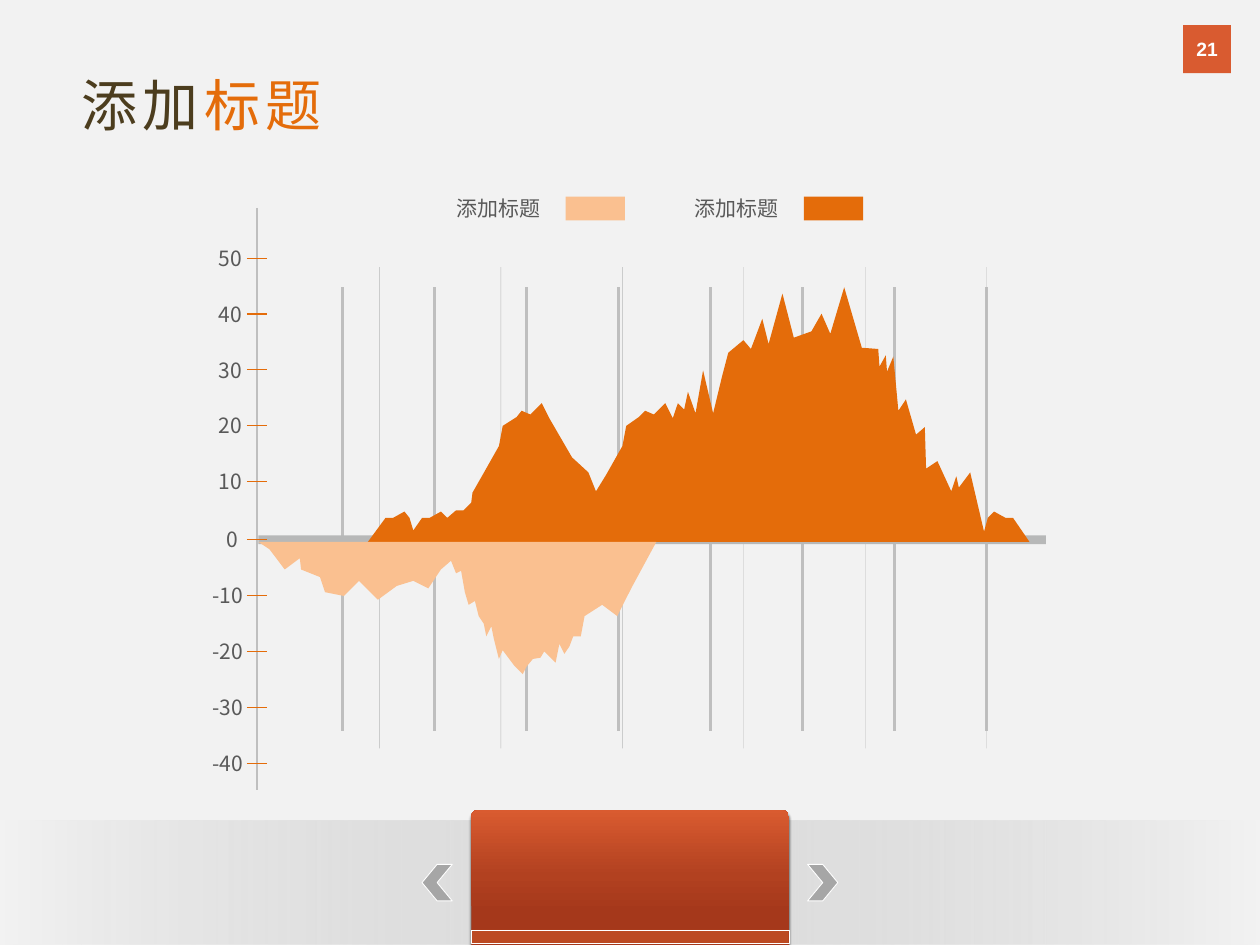
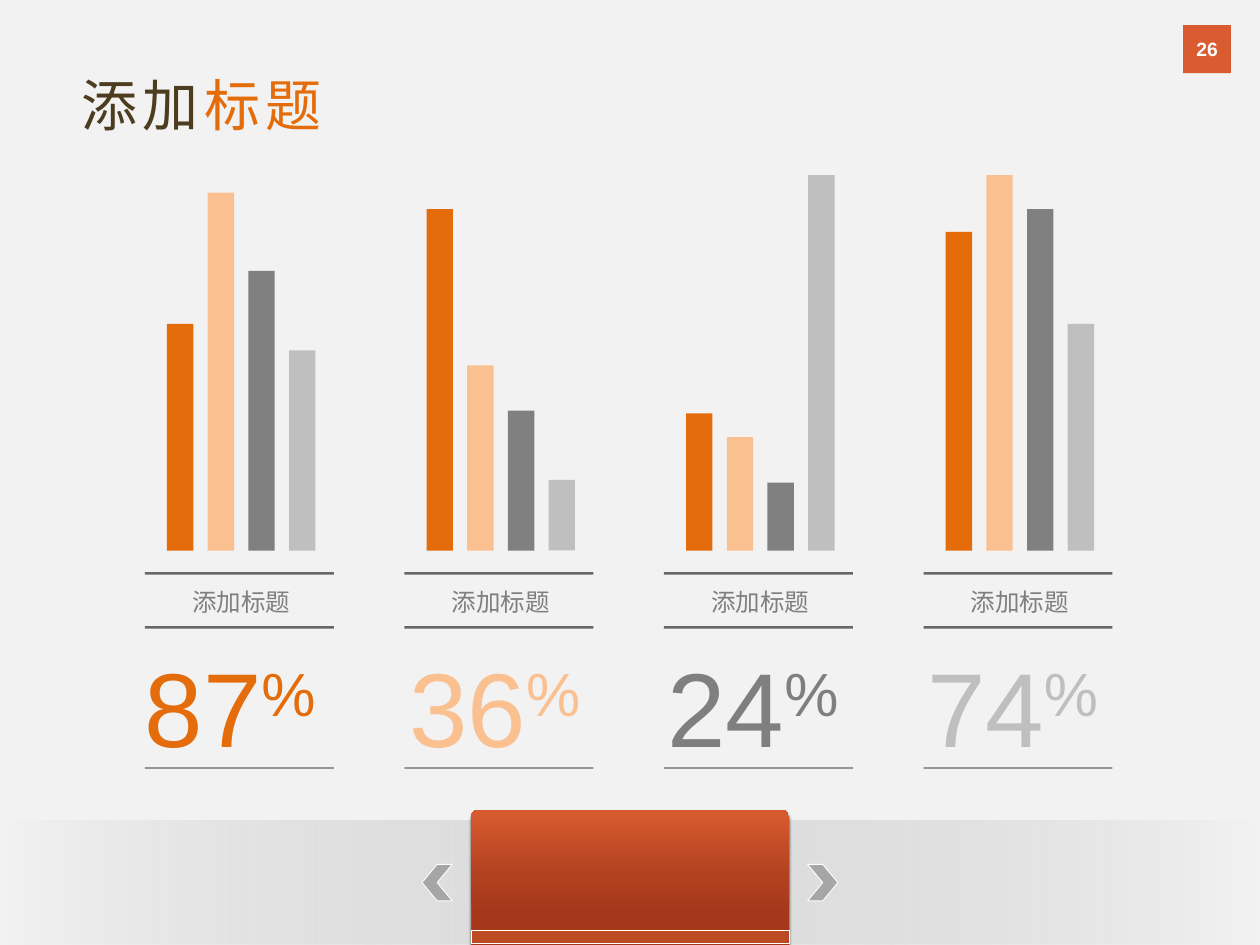
from dataclasses import dataclass

from lxml import etree
from pptx import Presentation
from pptx.dml.color import RGBColor
from pptx.enum.shapes import MSO_CONNECTOR, MSO_SHAPE
from pptx.enum.text import MSO_ANCHOR, MSO_AUTO_SIZE, PP_ALIGN
from pptx.oxml import parse_xml
from pptx.oxml.ns import nsdecls, qn
from pptx.util import Inches, Pt


@dataclass(frozen=True)
class Theme:
    # Colours
    background: str = "F2F2F2"
    brown: str = "4C3D1E"
    orange: str = "E46C0A"
    peach: str = "FAC090"
    gray: str = "808080"
    caption: str = "7F7F7F"
    silver: str = "BFBFBF"
    baseline: str = "B7B8B8"
    rule: str = "686768"
    axis_text: str = "595959"
    arrow: str = "A6A6A6"
    white: str = "FFFFFF"
    badge: str = "D95B30"
    tab_edge: str = "BC4A22"
    tab_dark: str = "A5381B"
    tab_middle: str = "B24120"
    # Fonts and type sizes
    cjk: str = "Noto Sans CJK SC"
    latin: str = "Arial"
    title_size: int = 32
    axis_size: int = 12
    caption_size: int = 14
    number_size: int = 60
    badge_size: int = 11


THEME = Theme()
LABEL = "添加标题"


@dataclass(frozen=True)
class Box:
    left: float
    top: float
    width: float
    height: float

    def emu(self) -> list:
        return [Inches(v) for v in (self.left, self.top, self.width, self.height)]


@dataclass(frozen=True)
class Style:
    size: int
    color: str
    font: str = THEME.cjk
    bold: bool = False
    spacing: int = 0
    baseline: int = 0


@dataclass(frozen=True)
class Stop:
    position: int
    color: str
    alpha: int = 100


@dataclass(frozen=True)
class Panel:
    percent: str
    color: str
    number_left: float
    number_width: float
    bar_heights: tuple


PANELS = (
    Panel("87", THEME.orange, 1.05, 1.93, (1.8, 2.84, 2.22, 1.59)),
    Panel("36", THEME.peach, 3.15, 1.85, (2.71, 1.47, 1.11, 0.56)),
    Panel("24", THEME.caption, 5.2, 1.69, (1.09, 0.9, 0.54, 2.98)),
    Panel("74", THEME.silver, 7.26, 1.69, (2.53, 2.98, 2.71, 1.8)),
)
BAR_COLORS = (THEME.orange, THEME.peach, THEME.gray, THEME.silver)

# Area outlines, in hundredths of an inch
UPPER_AREA = (
    (804, 411), (798, 411), (789, 406), (784, 411), (781, 422), (770, 375),
    (761, 387), (759, 378), (755, 390), (744, 366), (735, 372), (734, 339),
    (727, 345), (719, 317), (713, 326), (709, 283), (704, 295), (703, 282),
    (698, 291), (697, 277), (684, 276), (670, 228), (659, 265), (652, 249),
    (644, 263), (630, 268), (621, 233), (610, 273), (605, 253), (596, 277),
    (590, 270), (578, 280), (573, 299), (566, 328), (558, 294), (552, 328),
    (546, 311), (543, 325), (538, 320), (534, 332), (528, 320), (519, 329),
    (512, 326), (507, 331), (497, 338), (494, 354), (481, 377), (473, 390),
    (467, 375), (454, 363), (436, 332), (430, 320), (421, 329), (414, 326),
    (410, 331), (399, 338), (396, 354), (383, 377), (375, 391), (374, 399),
    (368, 405), (362, 405), (355, 411), (350, 406), (341, 411), (335, 411),
    (328, 421), (325, 411), (321, 406), (312, 411), (306, 411), (292, 430),
    (817, 430),
)
LOWER_AREA = (
    (205, 430), (214, 436), (226, 452), (238, 443), (239, 452), (254, 458),
    (258, 470), (273, 473), (285, 461), (300, 476), (315, 465), (328, 461),
    (340, 467), (350, 452), (358, 445), (362, 455), (366, 453), (369, 470),
    (372, 480), (377, 477), (380, 489), (384, 495), (386, 505), (390, 497),
    (392, 507), (396, 523), (399, 516), (408, 528), (415, 535), (418, 529),
    (423, 523), (429, 522), (432, 517), (441, 526), (444, 511), (448, 519),
    (452, 513), (455, 505), (461, 505), (464, 489), (478, 480), (490, 489),
    (501, 467), (521, 430),
)


# Drawing helpers
def rgb(color: str) -> RGBColor:
    return RGBColor.from_string(color)


def paint(shape, fill: str, line: str = "", line_width: float = 0) -> None:
    shape.shadow.inherit = False
    shape.fill.solid()
    shape.fill.fore_color.rgb = rgb(fill)
    if line:
        shape.line.color.rgb = rgb(line)
        shape.line.width = Pt(line_width)
    else:
        shape.line.fill.background()


def add_block(slide, box: Box, fill: str, kind=MSO_SHAPE.RECTANGLE,
              line: str = "", line_width: float = 0):
    block = slide.shapes.add_shape(kind, *box.emu())
    paint(block, fill, line, line_width)
    return block


def add_gradient(shape, stops: tuple, angle: int) -> None:
    entries = "".join(
        f'<a:gs pos="{s.position * 1000}"><a:srgbClr val="{s.color}">'
        f'<a:alpha val="{s.alpha * 1000}"/></a:srgbClr></a:gs>' for s in stops)
    gradient = parse_xml(
        f'<a:gradFill {nsdecls("a")} rotWithShape="1"><a:gsLst>{entries}</a:gsLst>'
        f'<a:lin ang="{angle * 60000}" scaled="0"/></a:gradFill>')
    properties = shape._element.spPr
    properties.replace(properties.find(qn("a:solidFill")), gradient)


def add_run(paragraph, text: str, style: Style) -> None:
    run = paragraph.add_run()
    run.text = text
    run.font.size = Pt(style.size)
    run.font.bold = style.bold
    run.font.color.rgb = rgb(style.color)
    run.font.name = style.font
    properties = run._r.get_or_add_rPr()
    etree.SubElement(properties, qn("a:ea")).set("typeface", style.font)
    if style.spacing:
        properties.set("spc", str(style.spacing * 100))
    if style.baseline:
        properties.set("baseline", str(style.baseline * 1000))


def add_text(slide, box: Box, runs: tuple, align=PP_ALIGN.CENTER) -> None:
    frame = slide.shapes.add_textbox(*box.emu()).text_frame
    frame.word_wrap = True
    frame.auto_size = MSO_AUTO_SIZE.SHAPE_TO_FIT_TEXT
    paragraph = frame.paragraphs[0]
    paragraph.alignment = align
    for text, style in runs:
        add_run(paragraph, text, style)


def add_line(slide, start: tuple, end: tuple, color: str, width: float) -> None:
    line = slide.shapes.add_connector(
        MSO_CONNECTOR.STRAIGHT, *[Inches(v) for v in start + end])
    line.line.color.rgb = rgb(color)
    line.line.width = Pt(width)
    etree.SubElement(line._element.spPr, qn("a:effectLst"))


def add_area(slide, outline: tuple, fill: str) -> None:
    builder = slide.shapes.build_freeform(*outline[0], scale=Inches(0.01))
    builder.add_line_segments(outline[1:], close=True)
    paint(builder.convert_to_shape(), fill)


# Shared slide parts
def add_footer(slide, page: int) -> None:
    band = add_block(slide, Box(0, 6.51, 10, 0.99), THEME.silver)
    add_gradient(band, (Stop(0, THEME.background), Stop(50, THEME.silver, 35),
                        Stop(100, THEME.background)), 180)
    for left, flipped in ((6.41, False), (3.35, True)):
        arrow = add_block(slide, Box(left, 6.86, 0.24, 0.29), THEME.arrow,
                          MSO_SHAPE.CHEVRON, THEME.white, 0.5)
        if flipped:
            arrow._element.spPr.get_or_add_xfrm().set("flipH", "1")

    tab = add_block(slide, Box(3.74, 6.43, 2.52, 1.26), THEME.badge,
                    MSO_SHAPE.ROUNDED_RECTANGLE)
    tab.adjustments[0] = 0.04
    add_gradient(tab, (Stop(36, THEME.tab_dark), Stop(59, THEME.tab_middle),
                       Stop(100, THEME.badge)), 270)
    tab._element.spPr.find(qn("a:effectLst")).append(parse_xml(
        f'<a:outerShdw {nsdecls("a")} blurRad="{Pt(1.5)}" dist="{Pt(2)}" '
        'dir="5400000" algn="t" rotWithShape="0"><a:srgbClr val="000000">'
        '<a:alpha val="60000"/></a:srgbClr></a:outerShdw>'))

    badge = add_block(slide, Box(9.39, 0.2, 0.38, 0.38), THEME.badge)
    badge.text_frame.vertical_anchor = MSO_ANCHOR.MIDDLE
    paragraph = badge.text_frame.paragraphs[0]
    paragraph.alignment = PP_ALIGN.CENTER
    add_run(paragraph, str(page),
            Style(THEME.badge_size, THEME.white, THEME.latin, bold=True))
    add_block(slide, Box(3.74, 7.38, 2.52, 0.11), THEME.tab_edge,
              line=THEME.white, line_width=0.25)


def add_title(slide) -> None:
    runs = tuple((text, Style(THEME.title_size, color, spacing=3))
                 for text, color in (("添加", THEME.brown), ("标题", THEME.orange)))
    add_text(slide, Box(0.55, 0.51, 2.27, 0.64), runs, PP_ALIGN.LEFT)


def new_slide(deck):
    slide = deck.slides.add_slide(deck.slide_layouts[6])
    slide.background.fill.solid()
    slide.background.fill.fore_color.rgb = rgb(THEME.background)
    return slide


# Area diagram with a two-way axis
def build_area_slide(deck) -> None:
    slide = new_slide(deck)
    axis_style = Style(THEME.axis_size, THEME.axis_text)

    for column in range(8):
        x = 2.72 + 0.73 * column
        add_line(slide, (x, 2.28), (x, 5.8), THEME.silver, 1.5)
    add_block(slide, Box(2.05, 4.25, 6.25, 0.07), THEME.baseline)
    for column in range(6):
        hairline = add_block(slide, Box(3.01 + 0.964 * column, 2.12, 0.01, 3.82),
                             THEME.baseline)
        hairline.width = Inches(0.01) // 3
    add_line(slide, (2.04, 1.65), (2.04, 6.27), THEME.silver, 1.5)

    # Axis values and ticks, above zero and from zero down
    label_widths = {1: 0.26, 2: 0.42, 3: 0.66}
    for first_value, top, bottom in ((50, 2.05, 3.82), (0, 4.28, 6.06)):
        for step in range(5):
            value = str(first_value - 10 * step)
            y = top + (bottom - top) * step / 4
            width = label_widths[len(value)]
            center = 1.81 if len(value) == 3 else 1.83
            add_text(slide, Box(center - width / 2, y - 0.15, width, 0.3),
                     ((value, axis_style),))
            add_line(slide, (1.96, y), (2.12, y), THEME.orange, 0.75)

    # Legend
    for left, color in ((3.41, THEME.peach), (5.3, THEME.orange)):
        add_text(slide, Box(left, 1.5, 1.09, 0.3), ((LABEL, axis_style),))
        add_block(slide, Box(left + 1.08, 1.56, 0.47, 0.19), color)

    add_footer(slide, 21)
    add_area(slide, UPPER_AREA, THEME.orange)
    add_area(slide, LOWER_AREA, THEME.peach)
    add_title(slide)


# Four bar panels with percentages
def add_panel(slide, panel: Panel, left: float) -> None:
    for index, (height, color) in enumerate(zip(panel.bar_heights, BAR_COLORS)):
        add_block(slide, Box(left + 0.175 + 0.323 * index, 4.37 - height, 0.21, height),
                  color)
    for top, thickness in ((4.54, 0.02), (4.97, 0.02), (6.09, 0.01)):
        add_block(slide, Box(left, top, 1.5, thickness), THEME.rule)
    add_text(slide, Box(left + 0.22, 4.61, 1.09, 0.34),
             ((LABEL, Style(THEME.caption_size, THEME.caption)),))
    number = Style(THEME.number_size, panel.color, THEME.latin)
    sign = Style(THEME.number_size, panel.color, THEME.latin, baseline=30)
    add_text(slide, Box(panel.number_left, 5.05, panel.number_width, 1.11),
             ((panel.percent, number), ("%", sign)), PP_ALIGN.LEFT)


def build_panel_slide(deck) -> None:
    slide = new_slide(deck)
    add_footer(slide, 26)
    add_title(slide)
    for index, panel in enumerate(PANELS):
        add_panel(slide, panel, 1.15 + 2.06 * index)


def main() -> None:
    deck = Presentation()
    deck.slide_width, deck.slide_height = Inches(10), Inches(7.5)
    build_area_slide(deck)
    build_panel_slide(deck)
    deck.save("out.pptx")


if __name__ == "__main__":
    main()
